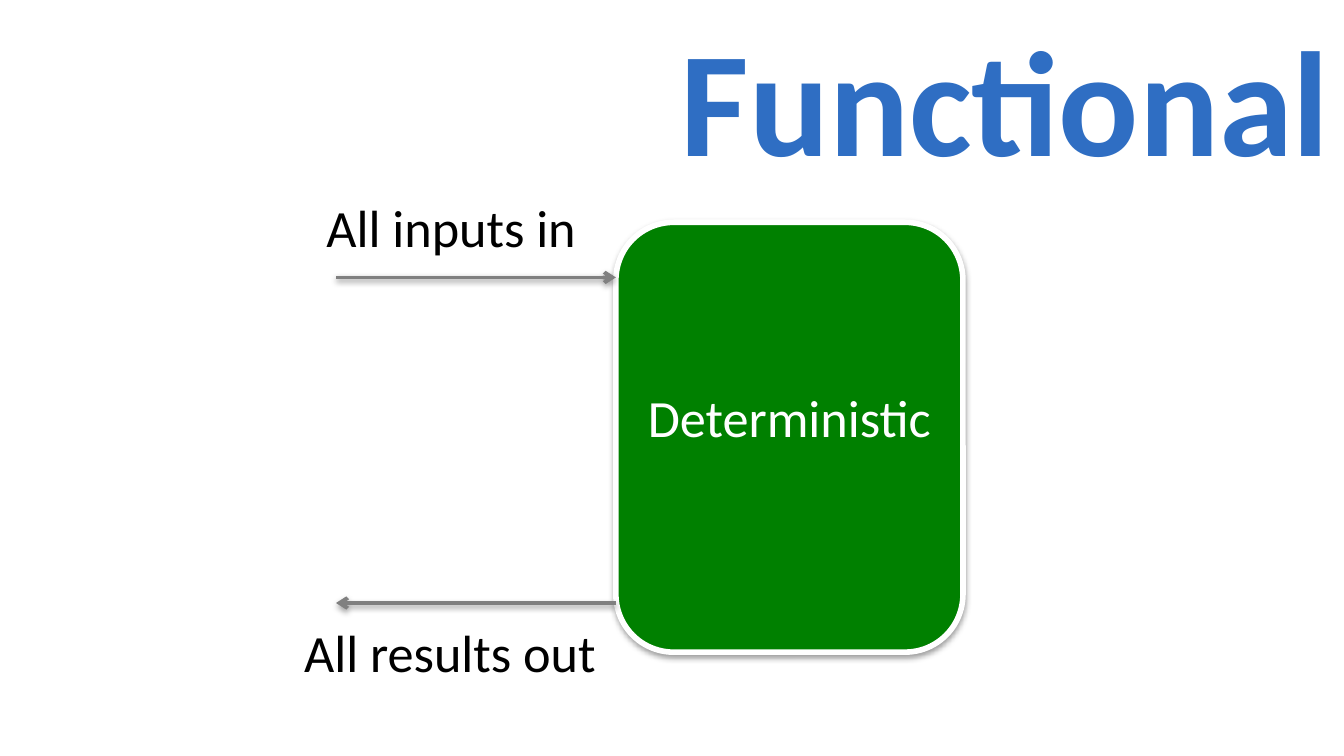
from lxml import etree
from pptx import Presentation
from pptx.dml.color import RGBColor
from pptx.enum.shapes import MSO_CONNECTOR, MSO_SHAPE
from pptx.enum.text import MSO_ANCHOR, MSO_AUTO_SIZE, PP_ALIGN
from pptx.oxml import parse_xml
from pptx.util import Cm, Pt

LINE = MSO_CONNECTOR.STRAIGHT
ROUND = MSO_SHAPE.ROUNDED_RECTANGLE
TOP, MIDDLE = MSO_ANCHOR.TOP, MSO_ANCHOR.MIDDLE
FIXED, GROW = MSO_AUTO_SIZE.NONE, MSO_AUTO_SIZE.SHAPE_TO_FIT_TEXT
LEFT, CENTER, RIGHT = PP_ALIGN.LEFT, PP_ALIGN.CENTER, PP_ALIGN.RIGHT

BLUE = RGBColor(0x2F, 0x6E, 0xC3)
GREEN = RGBColor(0x00, 0x80, 0x00)
GRAY = RGBColor(0x80, 0x80, 0x80)
BLACK = RGBColor(0x00, 0x00, 0x00)
WHITE = RGBColor(0xFF, 0xFF, 0xFF)

NS = "http://schemas.openxmlformats.org/drawingml/2006/main"
SHADOW = (
    f'<a:effectLst xmlns:a="{NS}">'
    '<a:outerShdw blurRad="40000" dist="20000" dir="5400000" rotWithShape="0">'
    '<a:srgbClr val="000000"><a:alpha val="38000"/></a:srgbClr>'
    '</a:outerShdw></a:effectLst>'
)


class Painter:
    font = "Calibri"
    size = 28

    def __init__(self, slide):
        self.slide = slide

    def style(self, frame, text, color, align, size=size, bold=False):
        frame.text = text
        para = frame.paragraphs[0]
        para.alignment = align
        para.font.name = self.font
        para.font.size = Pt(size)
        para.font.bold = bold
        para.font.color.rgb = color

    def outline(self, item, color, width):
        item.line.color.rgb = color
        item.line.width = Pt(width)
        item._element.spPr.append(parse_xml(SHADOW))

    def title(self, text, width, height):
        item = self.slide.shapes.title
        item.left, item.top, item.width, item.height = 0, 0, width, height
        frame = item.text_frame
        frame.auto_size = FIXED
        frame.vertical_anchor = TOP
        self.style(frame, text, BLUE, RIGHT, 80, True)

    def box(self, text, x, y, width, height):
        item = self.slide.shapes.add_shape(
            ROUND, Cm(x), Cm(y), Cm(width), Cm(height))
        item.fill.solid()
        item.fill.fore_color.rgb = GREEN
        self.outline(item, WHITE, 3)
        frame = item.text_frame
        frame.vertical_anchor = MIDDLE
        frame.margin_bottom = Cm(0.9)  # lifts the word above the centre
        self.style(frame, text, WHITE, CENTER)

    def arrow(self, start, end, y):
        item = self.slide.shapes.add_connector(
            LINE, Cm(start), Cm(y), Cm(end), Cm(y))
        self.outline(item, GRAY, 2)
        etree.SubElement(
            item.line._get_or_add_ln(), f"{{{NS}}}tailEnd", type="arrow")

    def label(self, text, x, y, width):
        item = self.slide.shapes.add_textbox(
            Cm(x), Cm(y), Cm(width), Cm(1.45))
        frame = item.text_frame
        frame.word_wrap = False
        frame.auto_size = GROW
        self.style(frame, text, BLACK, LEFT)


def main():
    deck = Presentation()
    deck.slide_width, deck.slide_height = Cm(25.4), Cm(14.28)
    paint = Painter(deck.slides.add_slide(deck.slide_layouts[5]))

    # Title over the whole slide
    paint.title("Functional", deck.slide_width, deck.slide_height)

    # Function as a box
    far, edge = 6.35, 11.64
    paint.box("Deterministic", edge, 4.2, 6.56, 8.12)

    # Input and output
    paint.arrow(far, edge, 5.24)
    paint.label("All inputs in", 5.92, 3.56, 5.28)
    paint.arrow(edge, far, 11.39)
    paint.label("All results out", 5.5, 11.59, 6.1)

    deck.save("out.pptx")


if __name__ == "__main__":
    main()
